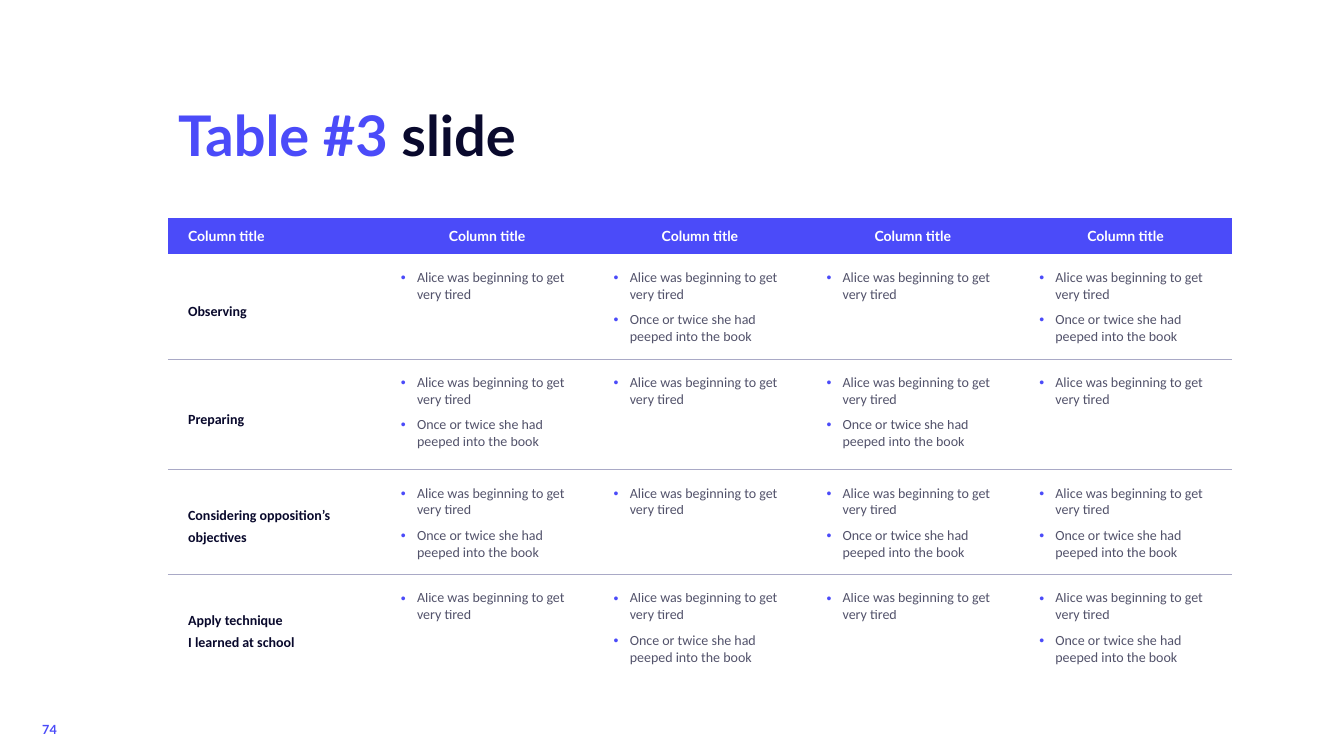
from dataclasses import dataclass

from lxml.etree import SubElement
from pptx import Presentation
from pptx.dml.color import RGBColor
from pptx.enum.text import MSO_ANCHOR as Anchor, MSO_AUTO_SIZE as AutoSize, PP_ALIGN as Align
from pptx.oxml import parse_xml
from pptx.oxml.ns import nsdecls, qn
from pptx.util import Pt


@dataclass(frozen=True)
class Theme:
    accent: str = "4B4BF9"
    title_ink: str = "09092D"
    ink: str = "09092C"
    rule: str = "A9A9C6"
    white: str = "FFFFFF"
    heading_font: str = "Lato"
    body_font: str = "Calibri"
    title_size: float = 40
    table_size: float = 10
    number_size: float = 9
    body_opacity: int = 70


THEME = Theme()
NO_GRID_STYLE = "{2D5ABB26-0587-4C30-8999-92F81FD0307C}"
COLUMN_TITLES = ["Column title"] * 5
ROW_HEIGHTS = [26, 75, 79, 75, 75]
POINTS = ["Alice was beginning to get very tired",
          "Once or twice she had peeped into the book"]
# Row label and the number of points shown in each column
STAGES = [
    ("Observing", [1, 2, 1, 2]),
    ("Preparing", [2, 1, 2, 1]),
    ("Considering opposition’s objectives", [2, 1, 2, 2]),
    ("Apply technique \nI learned at school", [1, 2, 1, 2]),
]


def add_text(paragraph, text, *, size=THEME.table_size, font=THEME.body_font,
             color=THEME.ink, bold=False, opacity=100, align=Align.LEFT,
             line_spacing=1.0, space_before=0, bullet=False):
    """Add formatted text to a paragraph; a newline becomes a line break."""
    paragraph.alignment = align
    paragraph.line_spacing = line_spacing
    paragraph.space_before = Pt(space_before)
    if bullet:
        properties = paragraph._p.get_or_add_pPr()
        properties.set("marL", str(Pt(11.5)))
        properties.set("indent", str(-Pt(11.5)))
        bullet_color = SubElement(properties, qn("a:buClr"))
        SubElement(bullet_color, qn("a:srgbClr"), val=THEME.accent)
        SubElement(properties, qn("a:buFont"), typeface="Arial")
        SubElement(properties, qn("a:buChar"), char="•")
    for index, line in enumerate(text.split("\n")):
        if index:
            paragraph.add_line_break()
        run = paragraph.add_run()
        run.text = line
        run.font.size = Pt(size)
        run.font.name = font
        run.font.bold = bold
        run.font.color.rgb = RGBColor.from_string(color)
        if opacity < 100:
            for run_color in run._r.iter(qn("a:srgbClr")):
                SubElement(run_color, qn("a:alpha"), val=str(opacity * 1000))


def set_margins(target, left, top, right, bottom):
    target.margin_left, target.margin_top = Pt(left), Pt(top)
    target.margin_right, target.margin_bottom = Pt(right), Pt(bottom)


def format_cell(cell, margins, anchor, fill=None, ruled=False):
    set_margins(cell, *margins)
    cell.vertical_anchor = anchor
    if fill:
        cell.fill.solid()
        cell.fill.fore_color.rgb = RGBColor.from_string(fill)
    else:
        cell.fill.background()
    if ruled:
        border = parse_xml(
            f'<a:lnB {nsdecls("a")} w="{Pt(0.5)}"><a:solidFill>'
            f'<a:srgbClr val="{THEME.rule}"/></a:solidFill></a:lnB>')
        cell._tc.get_or_add_tcPr().insert(0, border)


def add_title(slide, left, top, width, height):
    title = slide.shapes.title
    title.left, title.top, title.width, title.height = map(Pt, (left, top, width, height))
    frame = title.text_frame
    frame.word_wrap = True
    frame.auto_size = AutoSize.SHAPE_TO_FIT_TEXT
    frame.vertical_anchor = Anchor.MIDDLE
    set_margins(frame, 7.2, 3.6, 7.2, 3.6)
    for text, color in (("Table #3 ", THEME.accent), ("slide", THEME.title_ink)):
        add_text(frame.paragraphs[0], text, size=THEME.title_size,
                 font=THEME.heading_font, color=color, bold=True)


def fill_header(table):
    for column, heading in enumerate(COLUMN_TITLES):
        cell = table.cell(0, column)
        margins = (0, 4.3, 0, 3.6) if column else (14.4, 4.3, 7.2, 3.6)
        format_cell(cell, margins, Anchor.MIDDLE, fill=THEME.accent)
        add_text(cell.text_frame.paragraphs[0], heading, font=THEME.heading_font,
                 color=THEME.white, bold=True,
                 align=Align.CENTER if column else Align.LEFT)


def fill_stage(table, row, label, point_counts):
    ruled = row < len(STAGES)
    label_cell = table.cell(row, 0)
    format_cell(label_cell, (14.4, 7.2, 14.4, 3.6), Anchor.MIDDLE, ruled=ruled)
    add_text(label_cell.text_frame.paragraphs[0], label, bold=True, line_spacing=1.3)
    for column, count in enumerate(point_counts, start=1):
        cell = table.cell(row, column)
        format_cell(cell, (14.4, 10.8, 10.8, 3.6), Anchor.TOP, ruled=ruled)
        frame = cell.text_frame
        for index, point in enumerate(POINTS[:count]):
            paragraph = frame.add_paragraph() if index else frame.paragraphs[0]
            add_text(paragraph, point, opacity=THEME.body_opacity, bullet=True,
                     space_before=6 if index else 0)


def add_stage_table(slide, left, top, width):
    shape = slide.shapes.add_table(len(ROW_HEIGHTS), len(COLUMN_TITLES), Pt(left),
                                   Pt(top), Pt(width), Pt(sum(ROW_HEIGHTS)))
    table = shape.table
    table.horz_banding = False
    table._tbl.tblPr.find(qn("a:tableStyleId")).text = NO_GRID_STYLE
    for column in table.columns:
        column.width = Pt(width / len(COLUMN_TITLES))
    for row, height in zip(table.rows, ROW_HEIGHTS):
        row.height = Pt(height)
    fill_header(table)
    for row, (label, point_counts) in enumerate(STAGES, start=1):
        fill_stage(table, row, label, point_counts)


def add_page_number(slide, left, top, width, height):
    box = slide.shapes.add_textbox(Pt(left), Pt(top), Pt(width), Pt(height))
    frame = box.text_frame
    frame.word_wrap = True
    frame.auto_size = AutoSize.SHAPE_TO_FIT_TEXT
    set_margins(frame, 3.6, 3.6, 3.6, 3.6)
    add_text(frame.paragraphs[0], "74", size=THEME.number_size, bold=True,
             font=THEME.heading_font, color=THEME.accent, line_spacing=0.9)


def main():
    presentation = Presentation()
    presentation.slide_width, presentation.slide_height = Pt(960), Pt(540)
    title_only = presentation.slide_layouts[5]
    slide = presentation.slides.add_slide(title_only)
    add_page_number(slide, 26.6, 513.4, 28.8, 17.3)
    add_title(slide, 120, 68.4, 348.5, 55.4)
    add_stage_table(slide, 120, 155.5, 760)
    presentation.save("out.pptx")


if __name__ == "__main__":
    main()
